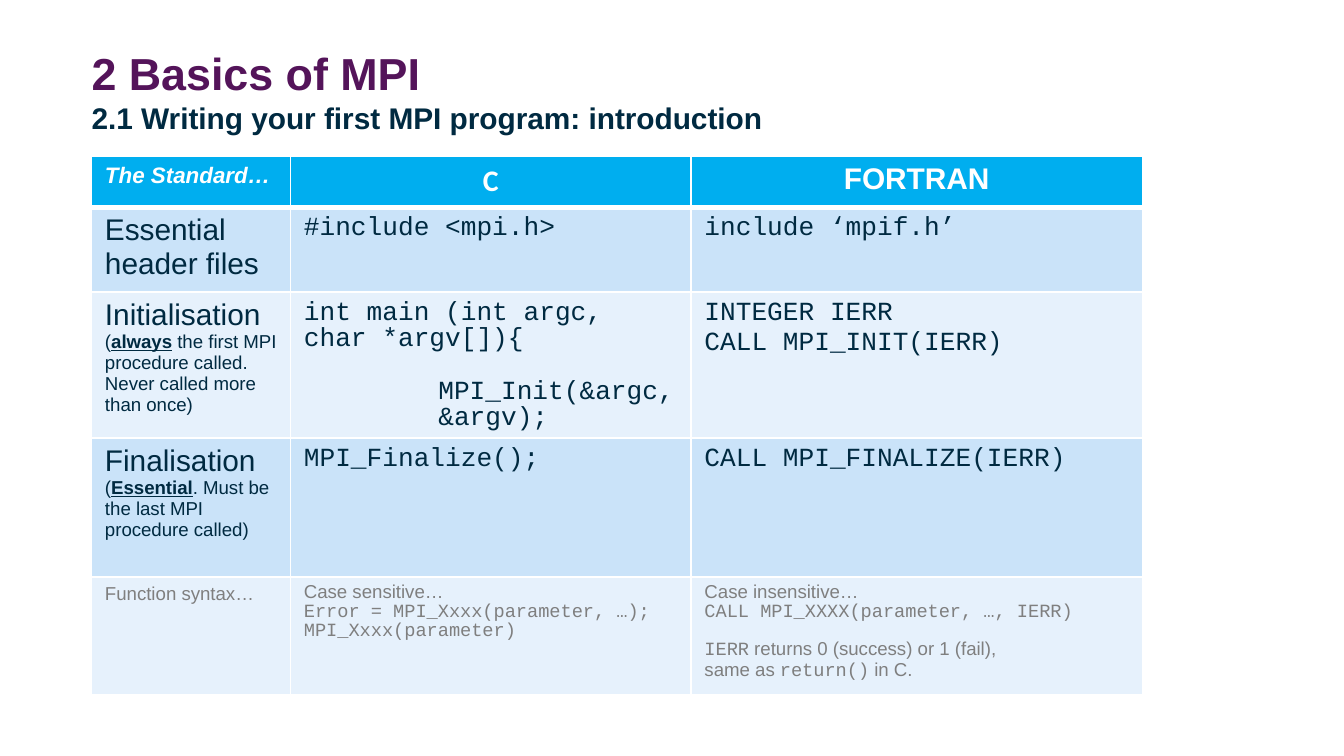
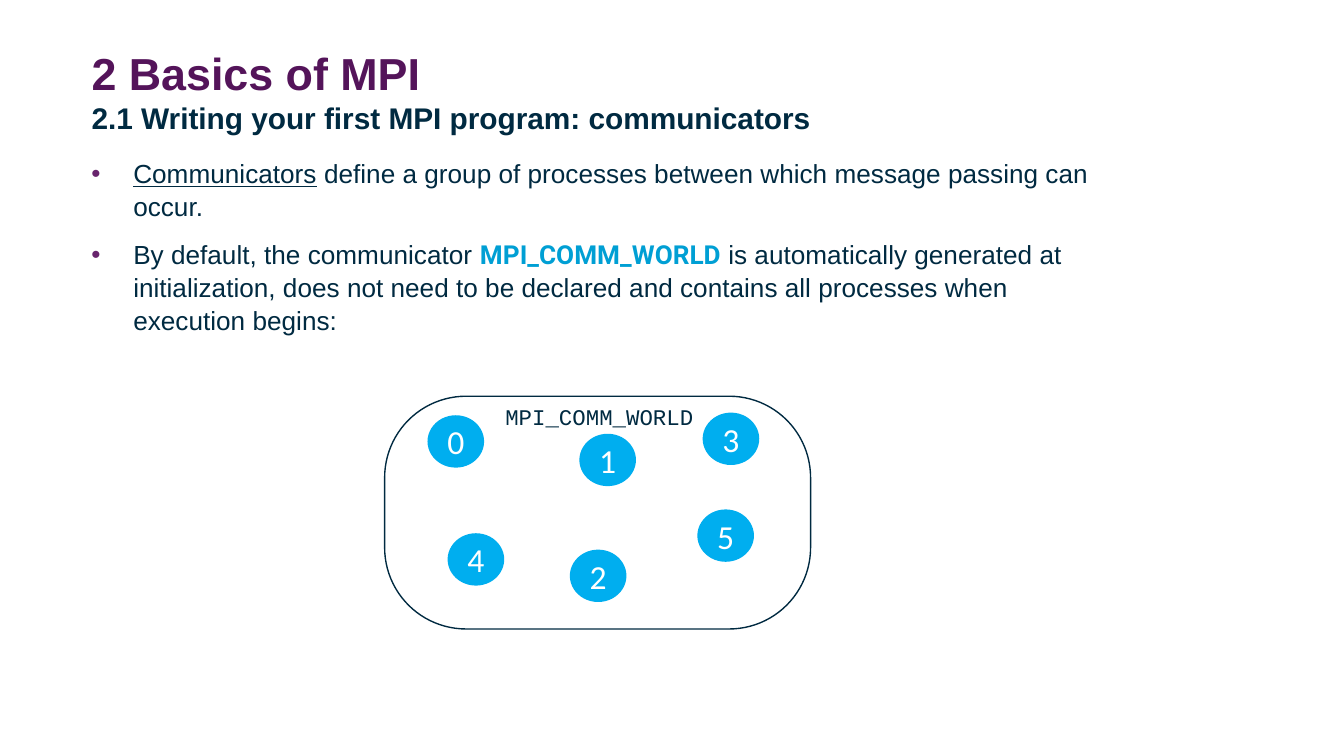
"""Build two slides that introduce MPI programs and communicators."""
import copy
from dataclasses import dataclass, replace

import pptx
import pptx.dml.color
import pptx.enum.shapes
import pptx.enum.text
import pptx.util
from lxml import etree
from pptx.dml.color import RGBColor
from pptx.enum.text import MSO_ANCHOR, PP_ALIGN
from pptx.oxml.ns import qn
from pptx.util import Cm, Pt

PURPLE = RGBColor(0x54, 0x14, 0x5A)
BULLET_PURPLE = RGBColor(0x68, 0x24, 0x6D)
NAVY = RGBColor(0x00, 0x2A, 0x41)
CYAN = RGBColor(0x00, 0xAE, 0xEF)
DEEP_CYAN = RGBColor(0x00, 0x9F, 0xD4)
PALE_BLUE = RGBColor(0xCA, 0xE3, 0xF9)
PALEST_BLUE = RGBColor(0xE6, 0xF1, 0xFC)
GREY = RGBColor(0x7F, 0x7F, 0x7F)
WHITE = RGBColor(0xFF, 0xFF, 0xFF)

LEFT = Cm(1.73)
CONTENT_TOP = Cm(2.95)
COLUMN_WIDTHS = (3.76, 7.57, 8.53)
ROW_HEIGHTS = (0.97, 1.6, 2.62, 2.62, 2.23)
CIRCLES = {
    "0": (8.08, 7.85),
    "2": (10.77, 10.39),
    "1": (10.95, 8.2),
    "5": (13.18, 9.63),
    "4": (8.46, 10.08),
    "3": (13.28, 7.8),
}


@dataclass(frozen=True)
class Style:
    size: float
    color: RGBColor = NAVY
    name: str = "Arial"
    bold: bool = False
    italic: bool = False
    underline: bool = False


@dataclass
class Block:
    runs: list
    spacing: float = 1.0
    before: float = 0
    indent: float = 0
    align: PP_ALIGN = PP_ALIGN.LEFT
    bullet: bool = False


TITLE = Style(24, PURPLE, bold=True)
SUBTITLE = Style(16, bold=True)
HEADING = Style(16, WHITE, bold=True)
STAGE = Style(16)
CODE = Style(14, name="Courier New")
DETAIL = Style(10)
STRESS = replace(DETAIL, bold=True, underline=True)
NOTE = Style(10, GREY)
NOTE_CODE = replace(NOTE, name="Courier New")
BODY = Style(14)


def apply_style(font, style):
    font.size = Pt(style.size)
    font.name = style.name
    font.color.rgb = style.color
    font.bold = style.bold
    font.italic = style.italic
    font.underline = style.underline


def add_bullet(paragraph):
    properties = paragraph._p.get_or_add_pPr()
    properties.set("marL", str(Cm(0.79)))
    properties.set("indent", str(-Cm(0.79)))
    color = etree.SubElement(properties, qn("a:buClr"))
    etree.SubElement(color, qn("a:srgbClr"), val=str(BULLET_PURPLE))
    etree.SubElement(properties, qn("a:buFont"), typeface="Arial")
    etree.SubElement(properties, qn("a:buChar"), char="•")


def write_block(paragraph, block):
    paragraph.alignment = block.align
    if block.spacing != 1:
        paragraph.line_spacing = block.spacing
    if block.before:
        paragraph.space_before = Pt(block.before)
    if block.indent:
        paragraph._p.get_or_add_pPr().set("marL", str(Cm(block.indent)))
    if block.bullet:
        add_bullet(paragraph)
    shared = len({style for _, style in block.runs}) == 1
    if shared:
        apply_style(paragraph.font, block.runs[0][1])
    for text, style in block.runs:
        for index, line in enumerate(text.split("\n")):
            if index:
                paragraph.add_line_break()
                paragraph._p[-1].append(copy.deepcopy(run._r.get_or_add_rPr()))
            if line:
                run = paragraph.add_run()
                run.text = line
                if not shared:
                    apply_style(run.font, style)


def write_blocks(text_frame, blocks):
    for index, block in enumerate(blocks):
        paragraph = text_frame.add_paragraph() if index else text_frame.paragraphs[0]
        write_block(paragraph, block)


def set_margins(text_frame, margin=0):
    text_frame.margin_left = text_frame.margin_right = margin
    text_frame.margin_top = text_frame.margin_bottom = margin


def add_titled_slide(presentation, topic):
    slide = presentation.slides.add_slide(presentation.slide_layouts[5])
    title = slide.shapes.title
    title.left, title.top, title.width, title.height = LEFT, Cm(0.76), Cm(21.95), Cm(2.39)
    text_frame = title.text_frame
    set_margins(text_frame)
    text_frame.margin_top = Cm(0.1)
    text_frame.vertical_anchor = MSO_ANCHOR.TOP
    text_frame.auto_size = pptx.enum.text.MSO_AUTO_SIZE.NONE
    subtitle = f"2.1 Writing your first MPI program: {topic}"
    write_blocks(text_frame, [Block([("2 Basics of MPI\n", TITLE), (subtitle, SUBTITLE)])])
    return slide


def add_borders(cell, top, bottom):
    properties = cell._tc.get_or_add_tcPr()
    for side, width in (("L", 1), ("R", 1), ("T", top), ("B", bottom)):
        line = etree.SubElement(properties, qn(f"a:ln{side}"), w=str(Pt(width)))
        fill = etree.SubElement(line, qn("a:solidFill"))
        etree.SubElement(fill, qn("a:srgbClr"), val=str(WHITE))


def add_grid(slide, rows):
    frame = slide.shapes.add_table(
        len(rows), len(COLUMN_WIDTHS), LEFT, CONTENT_TOP,
        Cm(sum(COLUMN_WIDTHS)), Cm(sum(ROW_HEIGHTS)))
    table = frame.table
    table.horz_banding = False
    for column, width in zip(table.columns, COLUMN_WIDTHS):
        column.width = Cm(width)
    for index, (row, height, contents) in enumerate(zip(table.rows, ROW_HEIGHTS, rows)):
        row.height = Cm(height)
        for cell, blocks in zip(row.cells, contents):
            add_borders(cell, 3 if index == 1 else 1, 3 if index == 0 else 1)
            cell.fill.solid()
            band = PALE_BLUE if index % 2 else PALEST_BLUE
            cell.fill.fore_color.rgb = band if index else CYAN
            write_blocks(cell.text_frame, blocks)


def add_text(shapes, left, top, width, height, blocks):
    box = shapes.add_textbox(left, top, width, height)
    box.text_frame.word_wrap = True
    write_blocks(box.text_frame, blocks)
    return box


def add_process(shapes, rank, left, top):
    circle = shapes.add_shape(
        pptx.enum.shapes.MSO_SHAPE.OVAL, Cm(left), Cm(top), Cm(1.07), Cm(0.99))
    circle.shadow.inherit = False
    circle.fill.solid()
    circle.fill.fore_color.rgb = CYAN
    circle.line.fill.background()
    set_margins(circle.text_frame)
    circle.text_frame.vertical_anchor = MSO_ANCHOR.MIDDLE
    label = Style(18, WHITE, "Calibri")
    write_blocks(circle.text_frame, [Block([(rank, label)], align=PP_ALIGN.CENTER)])


def add_communicator(slide):
    shapes = slide.shapes.add_group_shape().shapes
    for rank, (left, top) in CIRCLES.items():
        add_process(shapes, rank, left, top)
    outline = shapes.add_shape(
        pptx.enum.shapes.MSO_SHAPE.ROUNDED_RECTANGLE, Cm(7.27), Cm(7.49), Cm(8.05), Cm(4.4))
    outline.adjustments[0] = 0.35
    outline.shadow.inherit = False
    outline.fill.background()
    outline.line.color.rgb = NAVY
    outline.line.width = Pt(0.75)
    add_text(shapes, Cm(9.3), Cm(7.49), Cm(4.37), Cm(0.76),
             [Block([("MPI_COMM_WORLD", replace(CODE, size=12))])])


def build_introduction(presentation):
    slide = add_titled_slide(presentation, "introduction")
    center = PP_ALIGN.CENTER
    add_grid(slide, [
        [
            [Block([("The Standard…", replace(HEADING, size=12, italic=True))])],
            [Block([("C", replace(HEADING, name="Calibri"))], align=center)],
            [Block([("FORTRAN", HEADING)], align=center)],
        ],
        [
            [Block([("Essential header files", STAGE)])],
            [Block([("#include <mpi.h>", CODE)])],
            [Block([("include ‘mpif.h’", CODE)])],
        ],
        [
            [Block([("Initialisation", STAGE)]),
             Block([("(", DETAIL), ("always", STRESS),
                    (" the first MPI procedure called. Never called more than once)", DETAIL)])],
            [Block([("int main (int argc, char *argv[]){", CODE)], spacing=0.9),
             Block([("MPI_Init(&argc, &argv);", CODE)], spacing=0.9, before=14, indent=2.54)],
            [Block([("INTEGER IERR", CODE)]), Block([("CALL MPI_INIT(IERR)", CODE)])],
        ],
        [
            [Block([("Finalisation", STAGE)]),
             Block([("(", DETAIL), ("Essential", STRESS),
                    (". Must be the last MPI procedure called)", DETAIL)])],
            [Block([("MPI_Finalize();", CODE)], spacing=0.9)],
            [Block([("CALL MPI_FINALIZE(IERR)", CODE)])],
        ],
        [
            [Block([("Function syntax…", NOTE)])],
            [Block([("Case sensitive…\n", NOTE),
                    ("Error = MPI_Xxxx(parameter, …);", NOTE_CODE)], spacing=0.9),
             Block([("MPI_Xxxx(parameter)", NOTE_CODE)], spacing=0.9)],
            [Block([("Case insensitive…\n", NOTE),
                    ("CALL MPI_XXXX(parameter, …, IERR)", NOTE_CODE)], spacing=0.9),
             Block([("IERR", NOTE_CODE), (" returns 0 (success) or 1 (fail), \nsame as ", NOTE),
                    ("return()", NOTE_CODE), (" in C.", NOTE)], spacing=0.9, before=10)],
        ],
    ])


def build_communicators(presentation):
    slide = add_titled_slide(presentation, "communicators")
    body = add_text(slide.shapes, LEFT, CONTENT_TOP, Cm(19.58), Cm(5.72), [
        Block([("Communicators", replace(BODY, underline=True)),
               (" define a group of processes between which message passing can occur.", BODY)],
              spacing=1.05, bullet=True),
        Block([("By default, the communicator ", BODY),
               ("MPI_COMM_WORLD", Style(14, DEEP_CYAN, "Roboto", bold=True)),
               (" is automatically generated at initialization, does not need to be declared "
                "and contains all processes when execution begins:", BODY)],
              spacing=1.05, before=8, bullet=True),
    ])
    set_margins(body.text_frame)
    add_communicator(slide)


def main():
    presentation = pptx.Presentation()
    presentation.slide_width = Cm(25.4)
    presentation.slide_height = Cm(14.29)
    build_introduction(presentation)
    build_communicators(presentation)
    presentation.save("out.pptx")


if __name__ == "__main__":
    main()
